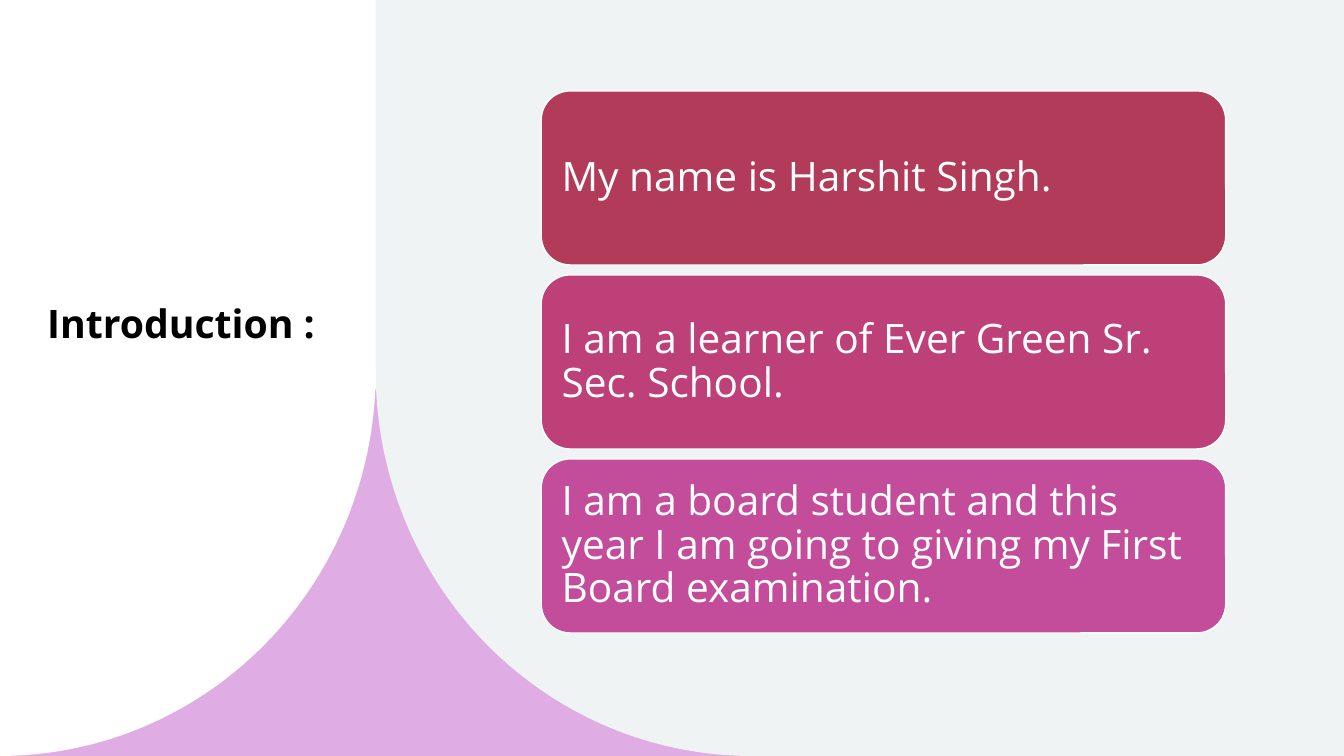
import math

from pptx import Presentation
from pptx import util as u
from pptx.dml.color import RGBColor
from pptx.enum import shapes, text
from pptx.util import Cm

COLOURS = {
    "white": "FFFFFF",
    "black": "000000",
    "lilac": "DFADE4",
    "mist": "F0F3F3",
    "crimson": "B13B58",
    "raspberry": "BE4079",
    "orchid": "C34D9B",
}
FONT = "Open Sans"
SLIDE_W, SLIDE_H = 33.87, 19.05
PANEL_W = 9.47      # width of the white panel and radius of both curves
CURVE_TOP = 9.37    # height at which the panels start to curve

STATEMENTS = [
    ("My name is Harshit Singh.", "crimson"),
    ("I am a learner of Ever Green Sr. Sec. School.", "raspberry"),
    ("I am a board student and this year I am going to giving my First "
     "Board examination.", "orchid"),
]


def paint(shape, colour):
    shape.shadow.inherit = False
    shape.fill.solid()
    shape.fill.fore_color.rgb = RGBColor.from_string(COLOURS[colour])
    shape.line.fill.background()


def write(frame, wording, size, colour, spacing, bold=False):
    frame.word_wrap = True
    frame.text = wording
    paragraph = frame.paragraphs[0]
    paragraph.alignment = text.PP_ALIGN.LEFT
    paragraph.line_spacing = spacing
    font = paragraph.runs[0].font
    font.name, font.size, font.bold = FONT, u.Pt(size), bold
    font.color.rgb = RGBColor.from_string(COLOURS[colour])


def add_curved_panel(slide, edge, far, centre, colour):
    """Panel from the far side to the edge, with a quarter ellipse below."""
    steps = 60
    reach, drop = edge - centre, SLIDE_H - CURVE_TOP
    angles = [math.pi / 2 * i / steps for i in range(steps + 1)]
    curve = [(centre + reach * math.cos(a), CURVE_TOP + drop * math.sin(a))
             for a in angles]
    outline = [(edge, 0), *curve, (far, SLIDE_H), (far, 0)]
    points = [(Cm(x), Cm(y)) for x, y in outline]
    builder = slide.shapes.build_freeform(*points[0])
    builder.add_line_segments(points[1:], close=True)
    paint(builder.convert_to_shape(), colour)


def add_backdrop(slide):
    base = slide.shapes.add_shape(
        shapes.MSO_SHAPE.RECTANGLE, 0, Cm(9.8), Cm(18.72), Cm(SLIDE_H - 9.8))
    paint(base, "lilac")
    add_curved_panel(slide, PANEL_W, 0, 0, "white")
    add_curved_panel(slide, PANEL_W, SLIDE_W, 2 * PANEL_W, "mist")


def add_heading(slide, left, top, width, height):
    heading = slide.shapes.add_textbox(Cm(left), Cm(top), Cm(width), Cm(height))
    write(heading.text_frame, "Introduction :", 28, "black", 1.1, bold=True)


def add_statements(slide, left, top, width, height, gap=0.25):
    count = len(STATEMENTS)
    card_h = (height - gap * (count - 1)) / count
    for row, (wording, colour) in enumerate(STATEMENTS):
        card = slide.shapes.add_shape(
            shapes.MSO_SHAPE.ROUNDED_RECTANGLE, Cm(left),
            Cm(top + row * (card_h + gap)), Cm(width), Cm(card_h))
        paint(card, colour)
        card.line.color.rgb = RGBColor.from_string(COLOURS["white"])
        card.line.width = u.Pt(1)
        frame = card.text_frame
        frame.margin_left = frame.margin_right = Cm(0.3)
        frame.margin_top = frame.margin_bottom = Cm(0.3)
        frame.vertical_anchor = text.MSO_ANCHOR.MIDDLE
        write(frame, wording, 29, "white", 0.9)


def main():
    deck = Presentation()
    deck.slide_width, deck.slide_height = Cm(SLIDE_W), Cm(SLIDE_H)
    slide = deck.slides.add_slide(deck.slide_layouts[6])

    # White and pale panels over the lilac base
    add_backdrop(slide)
    # Heading on the left
    add_heading(slide, 0.94, 7.29, 7.82, 4.06)
    # Three statements on the right
    add_statements(slide, 13.64, 2.29, 17.25, 13.66)

    deck.save("out.pptx")


if __name__ == "__main__":
    main()
